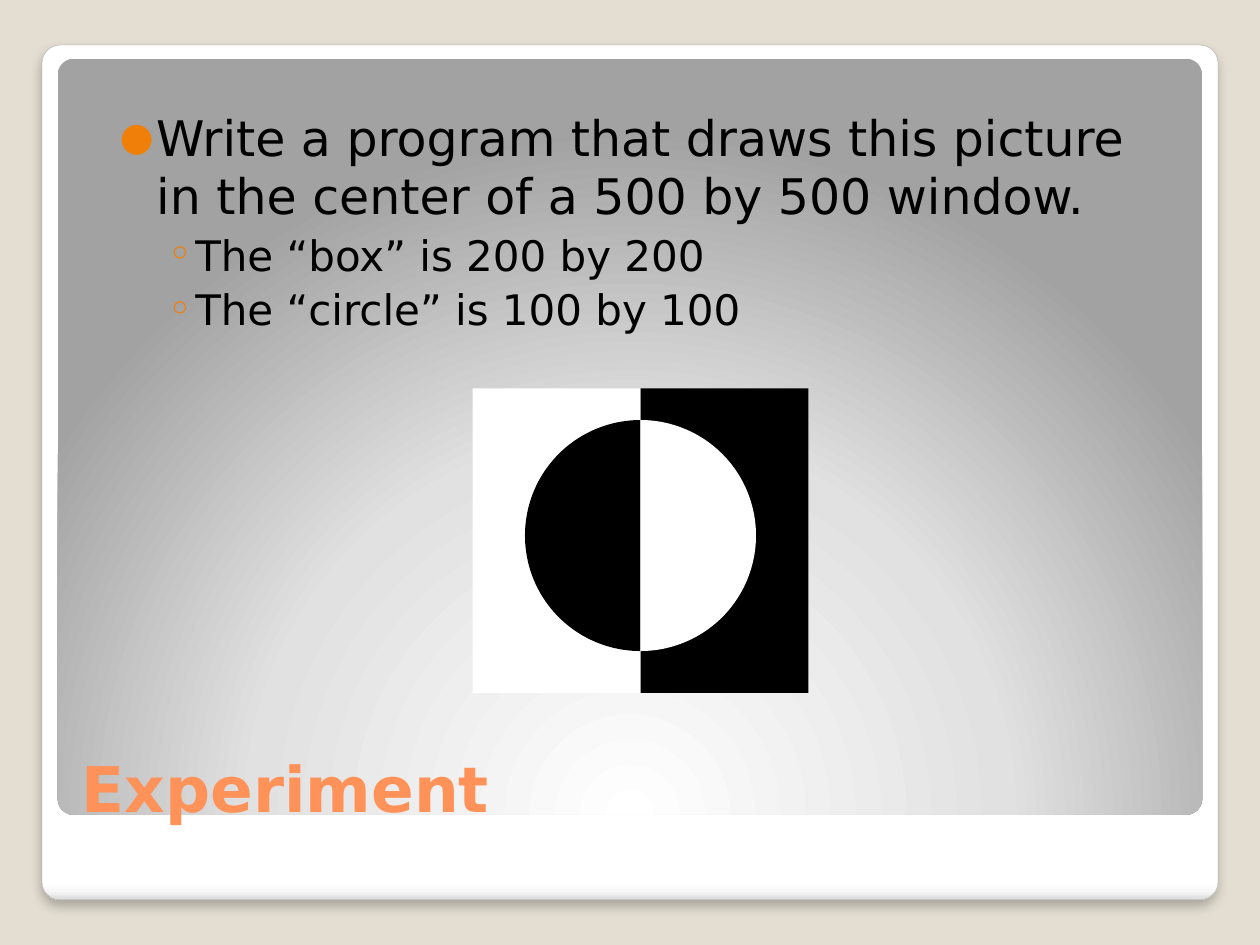
"""Build the Experiment slide on a grid of 120 columns by 90 rows."""
from lxml import etree
from pptx import Presentation
from pptx import util as u
from pptx.dml.color import RGBColor
from pptx.enum import shapes, text
from pptx.oxml import ns

COLUMNS, ROWS = 120, 90
WIDTH, HEIGHT = u.Inches(10), u.Inches(7.5)
FONT = "DejaVu Sans"
COLORS = {
    "backdrop": "E3DED1", "white": "FFFFFF", "black": "000000",
    "edge": "A4A4A4", "title": "FF9258", "bullet": "F07F09",
    "near_white": "F7F7F7", "rim": "DADADA", "silver": "E1E1E1", "gray": "A2A2A2",
}


def rgb(name):
    """Return a named colour."""
    return RGBColor.from_string(COLORS[name])


def place(column, row, columns, rows):
    """Convert a grid area to slide lengths."""
    across, down = WIDTH / COLUMNS, HEIGHT / ROWS
    return [u.Emu(round(length)) for length in
            (column * across, row * down, columns * across, rows * down)]


def add_node(parent, tag, **attributes):
    """Append a drawing element with its attributes."""
    node = etree.SubElement(parent, ns.qn(tag))
    for key, value in attributes.items():
        node.set(key, str(value))
    return node


def add_shape(owner, kind, area, color=None, adjustments=()):
    """Add a flat preset shape without an outline."""
    shape = owner.add_shape(kind, *place(*area))
    shape.shadow.inherit = False
    shape.line.fill.background()
    if color:
        shape.fill.solid()
        shape.fill.fore_color.rgb = rgb(color)
    for index, value in enumerate(adjustments):
        shape.adjustments[index] = value
    return shape


def set_gradient(shape, stops, angle=None, center=None):
    """Fill a shape with a linear or circular gradient."""
    shape.fill.gradient()
    gradient = shape.element.spPr.find(ns.qn("a:gradFill"))
    for child in list(gradient):
        gradient.remove(child)
    stop_list = add_node(gradient, "a:gsLst")
    for position, color in stops:
        stop = add_node(stop_list, "a:gs", pos=position * 1000)
        add_node(stop, "a:srgbClr", val=COLORS[color])
    if center:
        circle = add_node(gradient, "a:path", path="circle")
        sides = {side: share * 1000 for side, share in zip("ltrb", center)}
        add_node(circle, "a:fillToRect", **sides)
    else:
        add_node(gradient, "a:lin", ang=angle * 60000, scaled=0)


def add_shadow(shape, blur, distance, opacity):
    """Cast a soft black shadow downwards."""
    effects = shape.element.spPr.find(ns.qn("a:effectLst"))
    shadow = add_node(effects, "a:outerShdw", blurRad=u.Pt(blur), dist=u.Pt(distance),
                      dir=90 * 60000, algn="tl", rotWithShape=0)
    color = add_node(shadow, "a:srgbClr", val=COLORS["black"])
    add_node(color, "a:alpha", val=opacity * 1000)


def add_text_box(owner, area, anchor):
    """Add a wrapping text box and return its frame."""
    frame = owner.add_textbox(*place(*area)).text_frame
    frame.word_wrap = True
    frame.vertical_anchor = anchor
    return frame


def add_span(para, words, size, color, bold=False):
    """Add one run of text."""
    span = para.add_run()
    span.text = words
    span.font.name, span.font.size, span.font.bold = FONT, u.Pt(size), bold
    span.font.color.rgb = rgb(color)


def set_bullet(para, sign, margin, hang, share, level):
    """Give a paragraph a hanging coloured bullet."""
    para.level = level
    para.space_before = u.Pt(2.5)
    props = para._p.get_or_add_pPr()
    props.set("marL", str(u.Inches(margin)))
    props.set("indent", str(-u.Inches(hang)))
    add_node(add_node(props, "a:buClr"), "a:srgbClr", val=COLORS["bullet"])
    add_node(props, "a:buSzPct", val=share * 1000)
    add_node(props, "a:buFont", typeface=FONT)
    add_node(props, "a:buChar", char=sign)


def add_frame(owner):
    """Draw the white card and the gray panel on it."""
    rounded = shapes.MSO_SHAPE.ROUNDED_RECTANGLE
    card = add_shape(owner, rounded, (4, 4.3, 112, 81.4), adjustments=[0.021])
    set_gradient(card, [(0, "white"), (98, "white"), (99, "near_white"), (100, "rim")],
                 angle=90)
    card.line.color.rgb = rgb("edge")
    card.line.width = u.Pt(0.16)
    add_shadow(card, blur=6, distance=4, opacity=25)
    panel = add_shape(owner, rounded, (5.5, 5.6, 109, 72), adjustments=[0.021])
    set_gradient(panel, [(0, "white"), (55, "silver"), (100, "gray")],
                 center=(50, 175, 50, -75))


def add_title(owner):
    """Write the slide title."""
    frame = add_text_box(owner, (6.6, 65.4, 107.4, 13.8), text.MSO_ANCHOR.BOTTOM)
    add_span(frame.paragraphs[0], "Experiment", 36, "title", bold=True)


def add_task(owner):
    """Write the task and its two details."""
    frame = add_text_box(owner, (9, 9, 103, 26), text.MSO_ANCHOR.TOP)
    frame.margin_left, frame.margin_top = u.Inches(0.2), u.Inches(0.1)
    para = frame.paragraphs[0]
    set_bullet(para, "●", 0.29, 0.29, 80, level=0)
    add_span(para, "Write a program that draws this picture in the center "
                   "of a 500 by 500 window.", 28, "black")
    for detail in ("The “box” is 200 by 200", "The “circle” is 100 by 100"):
        para = frame.add_paragraph()
        set_bullet(para, "◦", 0.6, 0.22, 100, level=1)
        add_span(para, detail, 24, "black")


def add_figure(owner):
    """Draw the two-tone box and circle as one group."""
    figure = owner.add_group_shape().shapes
    for half, color in enumerate(("white", "black")):
        add_shape(figure, shapes.MSO_SHAPE.RECTANGLE, (45 + 16 * half, 37, 16, 29), color)
    for color, angles in (("black", (54, 162)), ("white", (162, 54))):
        add_shape(figure, shapes.MSO_SHAPE.PIE, (50, 40, 22, 22), color, angles)


def main():
    """Build and save the deck."""
    deck = Presentation()
    deck.slide_width, deck.slide_height = WIDTH, HEIGHT
    page = deck.slides.add_slide(deck.slide_layouts[6])
    page.background.fill.solid()
    page.background.fill.fore_color.rgb = rgb("backdrop")
    for add_part in (add_frame, add_title, add_task, add_figure):
        add_part(page.shapes)
    deck.save("out.pptx")


main()
